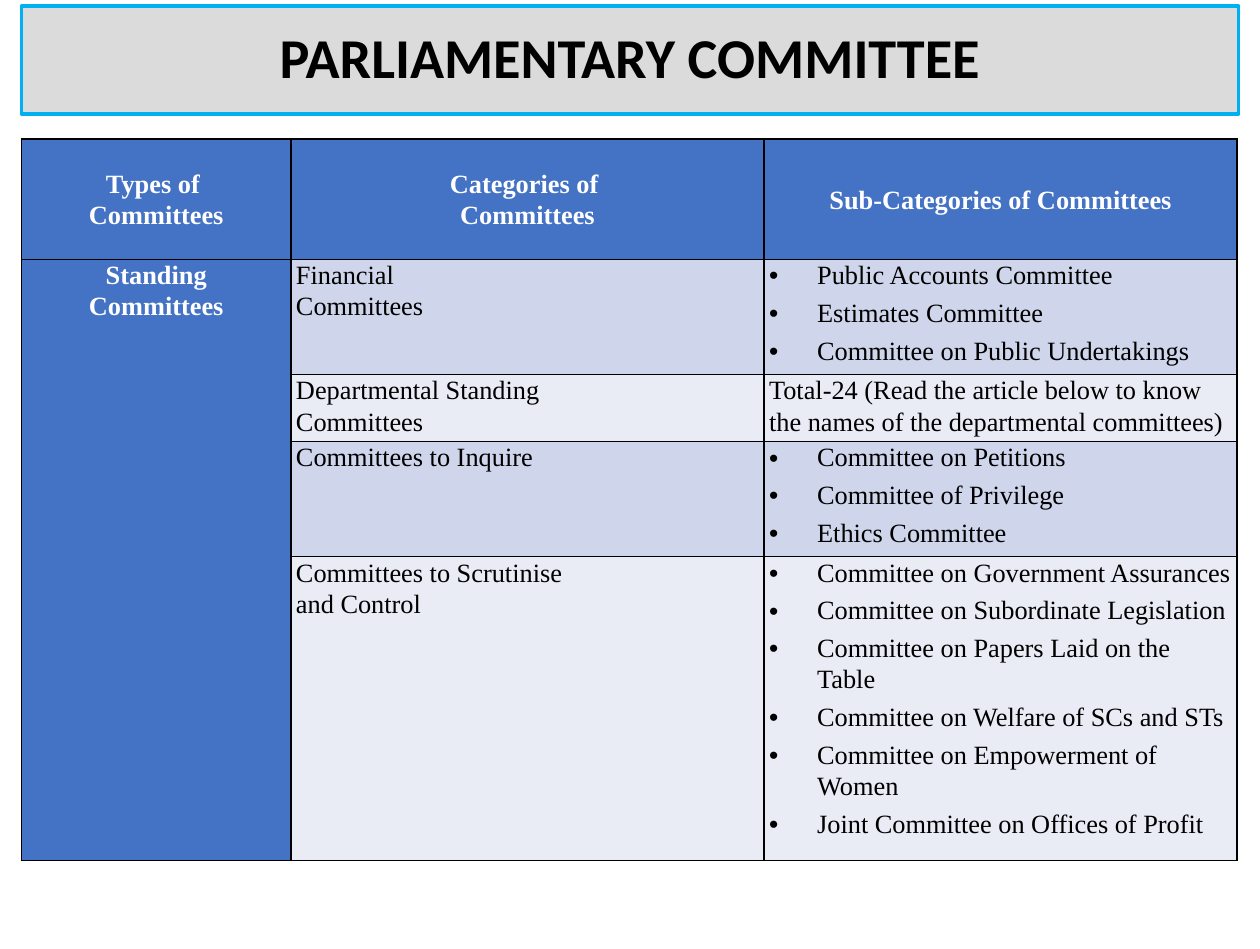
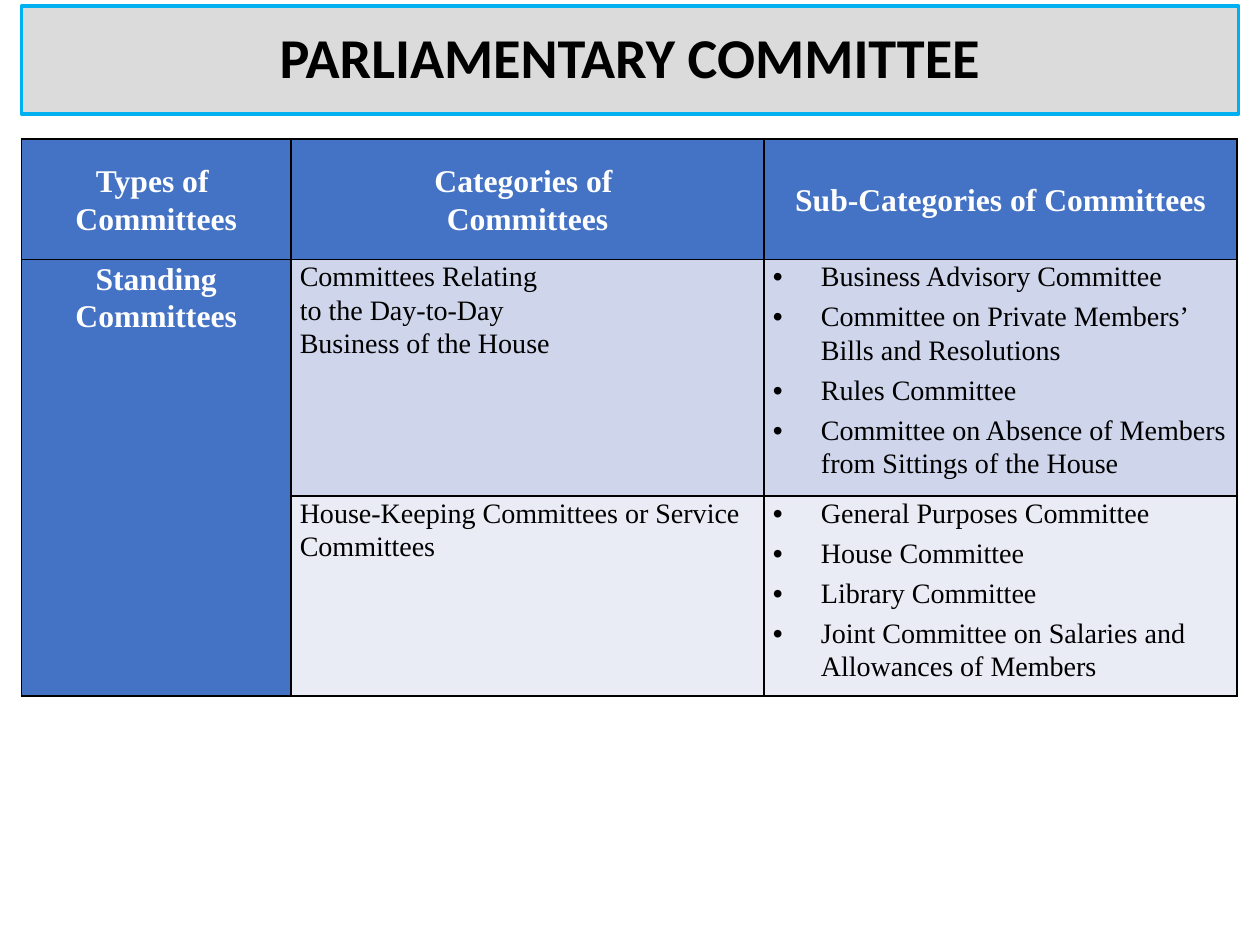
from lxml import etree
from pptx import Presentation
from pptx.dml.color import RGBColor
from pptx.enum.shapes import MSO_SHAPE
from pptx.enum.text import MSO_ANCHOR, PP_ALIGN
from pptx.oxml import parse_xml
from pptx.oxml.ns import nsdecls
from pptx.util import Pt

PX = 9144  # 100 px to the inch
RECTANGLE = MSO_SHAPE.RECTANGLE
TOP, MIDDLE = MSO_ANCHOR.TOP, MSO_ANCHOR.MIDDLE
LEFT, CENTER = PP_ALIGN.LEFT, PP_ALIGN.CENTER

BLACK, WHITE = "000000", "FFFFFF"
BLUE = "4472C4"
BANDS = ["CFD5EA", "E9EBF5"]
TITLE = "PARLIAMENTARY COMMITTEE"
MARGIN, CONTENT_WIDTH = 17, 962
COLUMN_WIDTHS = [213, 374, 374]
HEADER_HEIGHT = 95
HEADERS = [
    ["Types of ", "Committees"],
    ["Categories of ", "Committees"],
    ["Sub-Categories of Committees"],
]
COMMITTEE_TYPE = ["Standing", "Committees"]

# Each row: height, category lines, sub-categories
PAGES = [
    {"head_size": 15, "body_size": 15, "inset": 4, "rows": [
        (91, ["Financial", "Committees"],
         ["Public Accounts Committee", "Estimates Committee",
          "Committee on Public Undertakings"]),
        (53, ["Departmental Standing", "Committees"],
         ["Total-24 (Read the article below to know the names of "
          "the departmental committees)"]),
        (91, ["Committees to Inquire"],
         ["Committee on Petitions", "Committee of Privilege",
          "Ethics Committee"]),
        (240, ["Committees to Scrutinise", "and Control"],
         ["Committee on Government Assurances",
          "Committee on Subordinate Legislation",
          "Committee on Papers Laid on the Table",
          "Committee on Welfare of SCs and STs",
          "Committee on Empowerment of Women",
          "Joint Committee on Offices of Profit"]),
    ]},
    {"head_size": 18, "body_size": 16, "inset": 7, "rows": [
        (187, ["Committees Relating", "to the Day-to-Day",
               "Business of the House"],
         ["Business Advisory Committee",
          "Committee on Private Members’ Bills and Resolutions",
          "Rules Committee",
          "Committee on Absence of Members from Sittings of the House"]),
        (158, ["House-Keeping Committees or Service Committees"],
         ["General Purposes Committee", "House Committee",
          "Library Committee",
          "Joint Committee on Salaries and Allowances of Members"]),
    ]},
]


def rgb(value):
    return RGBColor.from_string(value)


def fill_cell(cell, lines, size, fill, inset=4, heading=False, anchor=TOP,
              bullets=False):
    """Give a cell its borders, fill and one paragraph per line."""
    properties = cell._tc.get_or_add_tcPr()
    for side in "LRTB":
        properties.append(parse_xml(
            f'<a:ln{side} {nsdecls("a")} w="12700"><a:solidFill>'
            f'<a:srgbClr val="{BLACK}"/></a:solidFill></a:ln{side}>'))
    cell.fill.solid()
    cell.fill.fore_color.rgb = rgb(fill)
    cell.margin_left = cell.margin_right = inset * PX
    cell.margin_top = cell.margin_bottom = 0
    cell.vertical_anchor = anchor
    frame = cell.text_frame
    for index, line in enumerate(lines):
        para = frame.add_paragraph() if index else frame.paragraphs[0]
        if bullets:
            para_properties = para._p.get_or_add_pPr()
            para_properties.set("marL", str(38 * PX))
            para_properties.set("indent", str(-38 * PX))
            for xml in ('<a:buFont {} typeface="Arial"/>',
                        '<a:buChar {} char="•"/>',
                        f'<a:tabLst {{}}><a:tab pos="{50 * PX}" algn="l"/>'
                        '</a:tabLst>'):
                para_properties.append(etree.fromstring(
                    xml.format(nsdecls("a"))))
            para.space_after = Pt(3.8)
        para.alignment = CENTER if heading else LEFT
        para.line_spacing = 1.07
        span = para.add_run()
        span.text = line
        span.font.name = "Times New Roman"
        span.font.size = Pt(size)
        span.font.bold = heading
        span.font.color.rgb = rgb(WHITE if heading else BLACK)


deck = Presentation()
deck.slide_width, deck.slide_height = 996 * PX, 750 * PX
blank = deck.slide_layouts[6]

for content in PAGES:
    page = deck.slides.add_slide(blank)

    banner = page.shapes.add_shape(
        RECTANGLE, MARGIN * PX, 5 * PX, CONTENT_WIDTH * PX, 85 * PX)
    banner.shadow.inherit = False
    banner.fill.solid()
    banner.fill.fore_color.rgb = rgb("DBDBDB")
    banner.line.color.rgb = rgb("00B0F0")
    banner.line.width = Pt(2.25)
    banner.text_frame.vertical_anchor = MIDDLE
    para = banner.text_frame.paragraphs[0]
    para.alignment = CENTER
    para.line_spacing = 0.9
    span = para.add_run()
    span.text = TITLE
    span.font.name = "Calibri"
    span.font.size = Pt(32)
    span.font.bold = True
    span.font.color.rgb = rgb(BLACK)

    rows = content["rows"]
    heights = [HEADER_HEIGHT] + [height for height, _, _ in rows]
    table = page.shapes.add_table(
        len(heights), len(COLUMN_WIDTHS), MARGIN * PX, 110 * PX,
        CONTENT_WIDTH * PX, sum(heights) * PX).table
    table.first_row = table.horz_banding = False
    for column, width in zip(table.columns, COLUMN_WIDTHS):
        column.width = width * PX
    for row, height in zip(table.rows, heights):
        row.height = height * PX

    head_size, body_size = content["head_size"], content["body_size"]
    inset = content["inset"]
    for column, lines in enumerate(HEADERS):
        fill_cell(table.cell(0, column), lines, head_size, BLUE,
                  heading=True, anchor=MIDDLE)
    table.cell(1, 0).merge(table.cell(len(rows), 0))
    for number, (_, category, subcategories) in enumerate(rows, 1):
        band = BANDS[(number - 1) % 2]
        fill_cell(table.cell(number, 0), COMMITTEE_TYPE if number == 1 else [],
                  head_size, BLUE, heading=True)
        fill_cell(table.cell(number, 1), category, body_size, band, inset)
        fill_cell(table.cell(number, 2), subcategories, body_size, band, inset,
                  bullets=len(subcategories) > 1)

deck.save("out.pptx")
